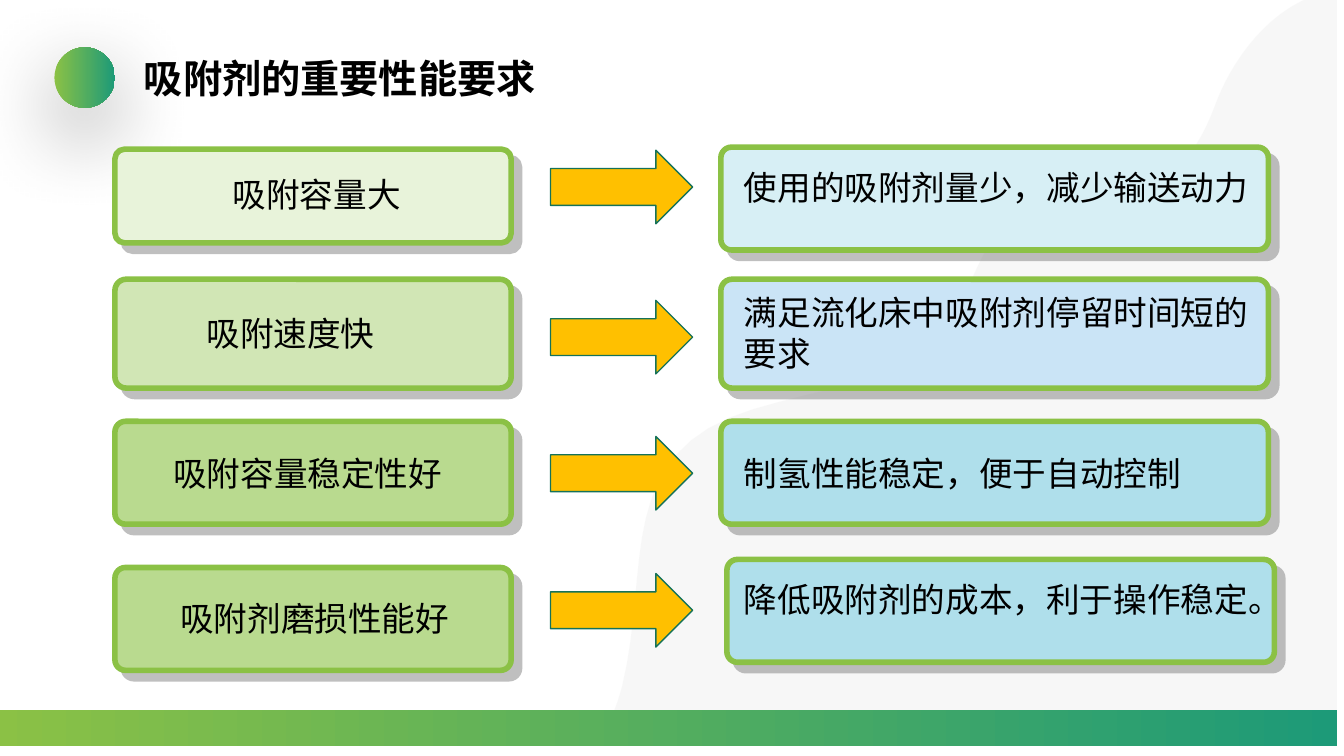
from lxml import etree
from pptx import Presentation
from pptx.dml.color import RGBColor
from pptx.enum import shapes, text
from pptx.oxml import ns
from pptx.util import Inches, Pt

FONT = "Calibri"
GREEN, TEAL = "8BC145", "1D9A78"
WHITE, BLACK, PALE_GREY = "FFFFFF", "000000", "F2F2F2"
ARROW_FILL, ARROW_LINE = "FFC000", "157259"
CARD_SHADOW = ("808080", 50, 0, 8.5, 45)
BALL_SHADOW = ("000000", 40, 60, 20, 90)

# Boxes are left, top, width, height; labels are wording, left, top, width, height.
ROWS = [
    {"property": ((1.14, 1.48, 3.93, 0.93), "E8F3DA", ("吸附容量大", 2.21, 1.68, 2.71, 0.5)),
     "benefit": ((7.15, 1.46, 5.43, 1.02), "D7EFF5",
                 ("使用的吸附剂量少，减少输送动力", 7.28, 1.61, 5.29, 0.5)),
     "arrow_top": 1.49},
    {"property": ((1.14, 2.77, 3.93, 1.08), "D1E6B5", ("吸附速度快", 1.95, 3.06, 2.71, 0.5)),
     "benefit": ((7.15, 2.77, 5.43, 1.08), "CAE4F6",
                 ("满足流化床中吸附剂停留时间短的要求", 7.28, 2.85, 5.29, 0.91)),
     "arrow_top": 2.98},
    {"property": ((1.14, 4.18, 3.93, 1.02), "B9DA8F",
                  ("吸附容量稳定性好", 1.62, 4.44, 3.23, 0.5)),
     "benefit": ((7.15, 4.18, 5.43, 1.02), "AFDFEB",
                 ("制氢性能稳定，便于自动控制", 7.28, 4.44, 5.29, 0.5)),
     "arrow_top": 4.33},
    {"property": ((1.14, 5.63, 3.93, 1.02), "B9DA8F",
                  ("吸附剂磨损性能好", 1.69, 5.88, 3.02, 0.5)),
     "benefit": ((7.21, 5.55, 5.43, 1.02), "AFDFEB",
                 ("降低吸附剂的成本，利于操作稳定。", 7.28, 5.69, 5.36, 0.5)),
     "arrow_top": 5.69},
]

# Cubic curves of the backdrop, relative to its box: two control points and an end.
WAVE_CURVES = [
    ((6.67, 0.1), (6.27, 0.78), (6.14, 1.15)),
    ((5.93, 1.71), (5.6, 2.07), (4.98, 1.98)),
    ((4.38, 1.89), (4.01, 2.11), (3.64, 3.09)),
    ((3.31, 3.95), (2.95, 3.75), (1.56, 4.16)),
    ((0.16, 4.58), (0.55, 5.73), (0.26, 6.91)),
    ((0.2, 7.14), (0.11, 7.33), (0, 7.5)),
]


def color(hex_string):
    return RGBColor.from_string(hex_string)


def add_shape(slide, kind, box, line=None, line_width=1):
    shape = slide.shapes.add_shape(kind, *map(Inches, box))
    shape.shadow.inherit = False
    if line:
        shape.line.color.rgb = color(line)
        shape.line.width = Pt(line_width)
    else:
        shape.line.fill.background()
    return shape


def fill_solid(shape, hex_string):
    shape.fill.solid()
    shape.fill.fore_color.rgb = color(hex_string)


def fill_gradient(shape):
    shape.fill.gradient()
    shape.fill.gradient_angle = 0
    for stop, hex_string in zip(shape.fill.gradient_stops, (GREEN, TEAL)):
        stop.color.rgb = color(hex_string)


def add_alpha(color_element, percent):
    alpha = etree.SubElement(color_element, ns.qn("a:alpha"))
    alpha.set("val", str(percent * 1000))


def cast_shadow(shape, hex_string, opacity, blur, distance, angle):
    effects = shape._element.spPr.find(ns.qn("a:effectLst"))
    shadow = etree.SubElement(effects, ns.qn("a:outerShdw"))
    shadow.set("blurRad", str(Pt(blur)))
    shadow.set("dist", str(Pt(distance)))
    shadow.set("dir", str(angle * 60000))
    shadow.set("algn", "ctr")
    shadow.set("rotWithShape", "0")
    tint = etree.SubElement(shadow, ns.qn("a:srgbClr"))
    tint.set("val", hex_string)
    add_alpha(tint, opacity)


def add_label(slide, wording, box, size=24, bold=False, wrap=True):
    frame = slide.shapes.add_textbox(*map(Inches, box)).text_frame
    frame.word_wrap = wrap
    frame.auto_size = text.MSO_AUTO_SIZE.SHAPE_TO_FIT_TEXT
    run = frame.paragraphs[0].add_run()
    run.text = wording
    run.font.name = FONT
    run.font.size = Pt(size)
    run.font.bold = bold
    run.font.color.rgb = color(BLACK)


def curve_points(start, curves, steps=16):
    """Return points along a chain of cubic curves."""
    points = []
    for first, second, end in curves:
        for step in range(1, steps + 1):
            t = step / steps
            weights = ((1 - t) ** 3, 3 * t * (1 - t) ** 2, 3 * t * t * (1 - t), t ** 3)
            corners = (start, first, second, end)
            points.append(tuple(sum(w * corner[axis] for w, corner in zip(weights, corners))
                                for axis in (0, 1)))
        start = end
    return points


def add_backdrop(slide, box):
    left, top, width, height = box
    outline = [(width, 0)] + curve_points((width, 0), WAVE_CURVES)
    builder = slide.shapes.build_freeform(
        Inches(left + width), Inches(top + height), scale=1.0)
    builder.add_line_segments(
        [(Inches(left + x), Inches(top + y)) for x, y in outline], close=True)
    wave = builder.convert_to_shape()
    wave.shadow.inherit = False
    wave.line.fill.background()
    fill_solid(wave, PALE_GREY)
    add_alpha(wave._element.spPr.find(".//" + ns.qn("a:srgbClr")), 55)


def add_footer_bar(slide, box):
    fill_gradient(add_shape(slide, shapes.MSO_SHAPE.RECTANGLE, box))


def add_heading(slide, box):
    left, top, width, height = box
    ball = add_shape(slide, shapes.MSO_SHAPE.OVAL, (left, top, height, height))
    fill_gradient(ball)
    cast_shadow(ball, *BALL_SHADOW)
    add_label(slide, "吸附剂的重要性能要求", (left + 0.79, top + 0.02, width - 0.79, 0.57),
              size=28, bold=True, wrap=False)


def add_card(slide, box, fill, label):
    card = add_shape(slide, shapes.MSO_SHAPE.ROUNDED_RECTANGLE, box, GREEN, 4)
    card.adjustments[0] = 0.103
    fill_solid(card, fill)
    cast_shadow(card, *CARD_SHADOW)
    wording, *label_box = label
    add_label(slide, wording, label_box)


def add_row(slide, row):
    """Place a property card, an arrow and the benefit card it leads to."""
    add_card(slide, *row["property"])
    arrow = add_shape(slide, shapes.MSO_SHAPE.RIGHT_ARROW,
                      (5.46, row["arrow_top"], 1.41, 0.73), ARROW_LINE)
    fill_solid(arrow, ARROW_FILL)
    add_card(slide, *row["benefit"])


def main():
    presentation = Presentation()
    presentation.slide_width = Inches(13.33)
    presentation.slide_height = Inches(7.5)
    slide = presentation.slides.add_slide(presentation.slide_layouts[6])
    slide.background.fill.solid()
    slide.background.fill.fore_color.rgb = color(WHITE)
    add_backdrop(slide, (5.91, -0.1, 7.35, 7.5))
    add_footer_bar(slide, (-0.07, 7.04, 13.33, 0.36))
    add_heading(slide, (0.54, 0.47, 4.92, 0.6))
    for row in ROWS:
        add_row(slide, row)
    presentation.save("out.pptx")


if __name__ == "__main__":
    main()
